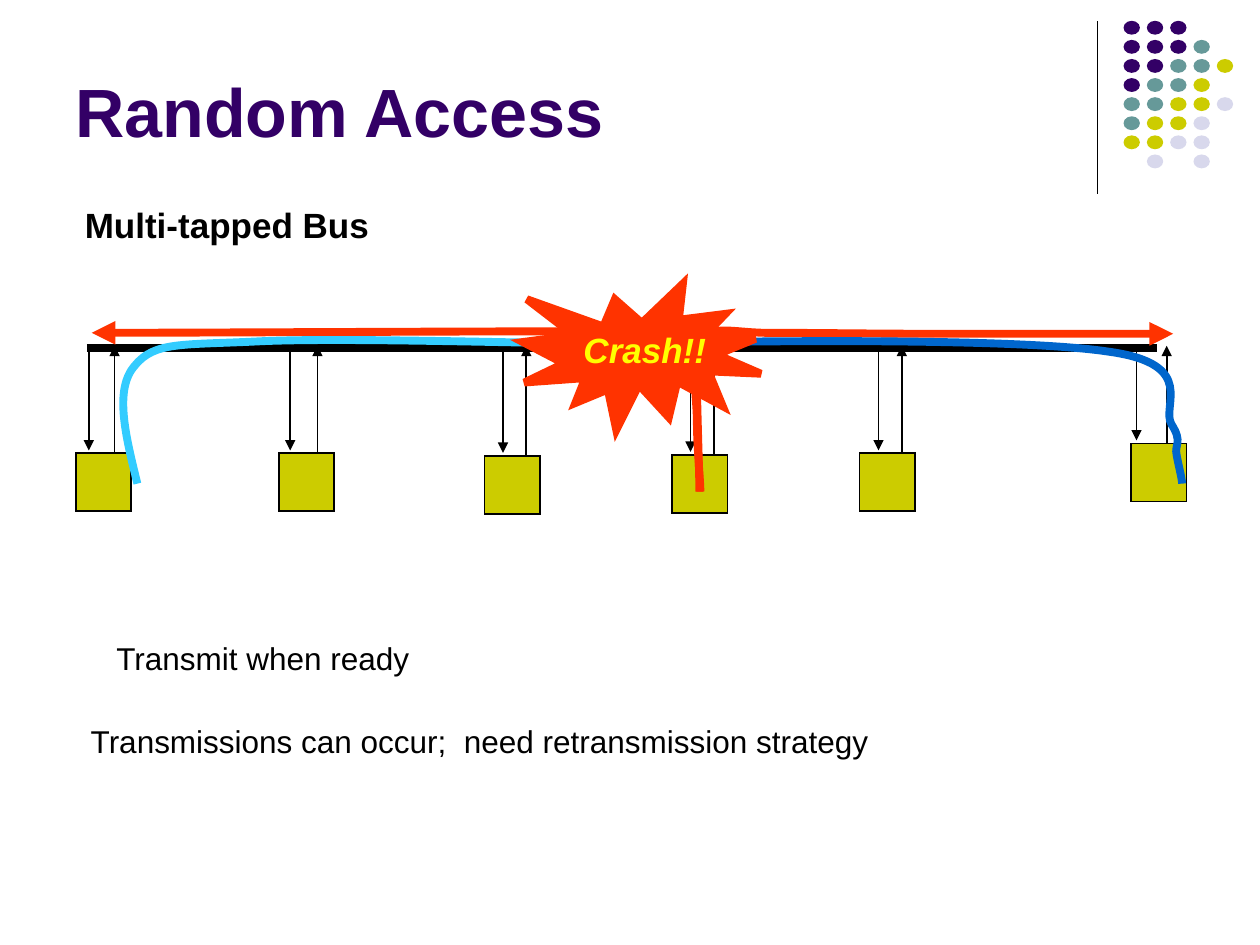
from dataclasses import dataclass

from lxml import etree
from pptx import Presentation
from pptx.dml.color import RGBColor
from pptx.enum.shapes import MSO_CONNECTOR, MSO_SHAPE
from pptx.enum.text import MSO_ANCHOR as Anchor, PP_ALIGN as Align
from pptx.oxml.ns import qn
from pptx.util import Cm, Pt

BLACK = RGBColor(0x00, 0x00, 0x00)
PURPLE = RGBColor(0x33, 0x00, 0x66)
TEAL = RGBColor(0x66, 0x99, 0x99)
OLIVE = RGBColor(0xCC, 0xCC, 0x00)
LAVENDER = RGBColor(0xD8, 0xD8, 0xEC)
RED = RGBColor(0xFF, 0x33, 0x00)
SKY = RGBColor(0x33, 0xCC, 0xFF)
BLUE = RGBColor(0x00, 0x66, 0xCC)
YELLOW = RGBColor(0xFF, 0xFF, 0x00)

BUS_Y = 7.01
THICK, THIN = 4.5, 1

Point = tuple[float, float]


@dataclass
class Station:
    left: float
    top: float
    receive_x: float
    send_x: float


@dataclass
class Signal:
    color: RGBColor
    points: list[Point]  # start, then three Bezier points per segment


# All positions are in centimetres
STATIONS = [
    Station(1.53, 9.14, 1.79, 2.31),
    Station(5.62, 9.14, 5.85, 6.40),
    Station(9.77, 9.19, 10.14, 10.61),
    Station(13.55, 9.17, 13.92, 14.40),
    Station(17.33, 9.14, 17.71, 18.18),
    Station(22.80, 8.94, 22.91, 23.52),
]

SIGNALS = [
    Signal(RED, [(14.10, 9.91),
                 (14.10, 9.53), (14.05, 8.18), (14.05, 7.65),
                 (14.02, 7.11), (14.43, 6.86), (14.00, 6.71),
                 (13.54, 6.55), (13.44, 6.68), (11.40, 6.68),
                 (9.40, 6.68), (3.86, 6.71), (1.85, 6.71)]),
    Signal(RED, [(14.12, 9.91),
                 (14.12, 9.68), (14.05, 9.02), (14.05, 8.51),
                 (14.05, 8.00), (13.89, 7.11), (14.15, 6.83),
                 (14.43, 6.53), (14.83, 6.73), (15.65, 6.71),
                 (16.46, 6.71), (17.68, 6.73), (19.00, 6.73),
                 (20.35, 6.73), (22.68, 6.73), (23.65, 6.73)]),
    Signal(SKY, [(2.77, 9.75),
                 (2.54, 8.81), (2.29, 7.85), (2.72, 7.37),
                 (3.12, 6.88), (3.66, 6.96), (5.26, 6.88),
                 (6.83, 6.81), (11.05, 6.93), (12.22, 6.93)]),
    Signal(BLUE, [(23.83, 9.75),
                  (23.83, 9.65), (23.75, 9.35), (23.72, 9.17),
                  (23.67, 8.97), (23.85, 8.92), (23.62, 8.56),
                  (23.39, 8.20), (24.18, 7.34), (22.35, 7.09),
                  (20.52, 6.81), (14.20, 6.88), (12.70, 6.93)]),
]

DOT_COLORS = {"P": PURPLE, "T": TEAL, "Y": OLIVE, "L": LAVENDER}
DOT_ROWS = ["PPP", "PPPT", "PPTTY", "PTTY", "TTYYL", "TYYL", "YYLL", ".L.L"]


def set_line(shape, color: RGBColor, width: float, arrow: bool = False) -> None:
    shape.line.color.rgb = color
    shape.line.width = Pt(width)
    outline = shape.line._get_or_add_ln()
    etree.SubElement(outline, qn("a:miter"), lim="800000")
    if arrow:
        etree.SubElement(outline, qn("a:tailEnd"), type="triangle")


def add_line(shapes, start: Point, end: Point, width: float, arrow: bool = False) -> None:
    line = shapes.add_connector(MSO_CONNECTOR.STRAIGHT, *map(Cm, start + end))
    set_line(line, BLACK, width, arrow)
    etree.SubElement(line._element.spPr, qn("a:effectLst"))


def add_block(shapes, kind, box: tuple[float, ...], fill: RGBColor,
              outline: RGBColor | None = None, width: float = THIN) -> None:
    block = shapes.add_shape(kind, *map(Cm, box))
    block.shadow.inherit = False
    block.fill.solid()
    block.fill.fore_color.rgb = fill
    if outline is None:
        block.line.fill.background()
    else:
        set_line(block, outline, width)


def add_signal(shapes, signal: Signal) -> None:
    start, *rest = [(Cm(x), Cm(y)) for x, y in signal.points]
    builder = shapes.build_freeform(*start)
    builder.add_line_segments(rest, close=False)
    curve = builder.convert_to_shape()
    curve.shadow.inherit = False
    curve.fill.background()
    set_line(curve, signal.color, THICK, arrow=True)
    # Join every three straight segments into one Bezier segment
    segments = list(curve._element.iter(qn("a:lnTo")))
    for i in range(0, len(segments), 3):
        bezier = etree.Element(qn("a:cubicBezTo"))
        segments[i].addprevious(bezier)
        for segment in segments[i:i + 3]:
            bezier.append(segment[0])
            segment.getparent().remove(segment)


def add_text(shapes, text: str, box: tuple[float, ...], *, size: float,
             color: RGBColor = BLACK, bold: bool = False, italic: bool = False,
             align=Align.LEFT, anchor=Anchor.TOP, wrap: bool = False) -> None:
    frame = shapes.add_textbox(*map(Cm, box)).text_frame
    frame.word_wrap = wrap
    frame.vertical_anchor = anchor
    paragraph = frame.paragraphs[0]
    paragraph.alignment = align
    run = paragraph.add_run()
    run.text = text
    font = run.font
    font.name, font.size = "Arial", Pt(size)
    font.bold, font.italic = bold, italic
    font.color.rgb = color


def main() -> None:
    prs = Presentation()
    prs.slide_width, prs.slide_height = Cm(25.4), Cm(19.05)
    shapes = prs.slides.add_slide(prs.slide_layouts[6]).shapes

    # Corner decoration
    add_line(shapes, (22.12, 0.43), (22.12, 3.91), 0.75)
    for row, codes in enumerate(DOT_ROWS):
        for column, code in enumerate(codes):
            if code in DOT_COLORS:
                box = (22.65 + 0.47 * column, 0.42 + 0.385 * row, 0.33, 0.28)
                add_block(shapes, MSO_SHAPE.OVAL, box, DOT_COLORS[code])

    # Headings
    add_text(shapes, "Random Access", (1.27, 0.33, 20.96, 2.84), size=39,
             color=PURPLE, bold=True, anchor=Anchor.BOTTOM, wrap=True)
    add_text(shapes, "Multi-tapped Bus", (1.46, 3.97, 7.13, 1.09), size=20,
             bold=True, wrap=True)

    # Bus and its stations
    add_line(shapes, (1.75, BUS_Y), (23.32, BUS_Y), THICK)
    for station in STATIONS:
        add_block(shapes, MSO_SHAPE.RECTANGLE,
                  (station.left, station.top, 1.12, 1.17), OLIVE, BLACK)
        add_line(shapes, (station.receive_x, BUS_Y + 0.08),
                 (station.receive_x, station.top - 0.06), THIN, arrow=True)
        add_line(shapes, (station.send_x, station.top),
                 (station.send_x, BUS_Y - 0.04), THIN, arrow=True)

    # Signals and their collision
    for signal in SIGNALS:
        add_signal(shapes, signal)
    add_block(shapes, MSO_SHAPE.EXPLOSION1, (10.54, 5.72, 4.80, 2.95), RED, RED, THICK)
    add_text(shapes, "Crash!!", (11.0, 6.50, 4.0, 1.12), size=20, color=YELLOW,
             bold=True, italic=True, align=Align.CENTER)

    # Remarks
    add_text(shapes, "Transmit when ready", (1.8, 12.75, 7.0, 1.02),
             size=18, align=Align.CENTER)
    add_text(shapes, "Transmissions can occur;  need retransmission strategy",
             (1.17, 14.43, 17.0, 1.02), size=18, align=Align.CENTER)

    prs.save("out.pptx")


if __name__ == "__main__":
    main()
